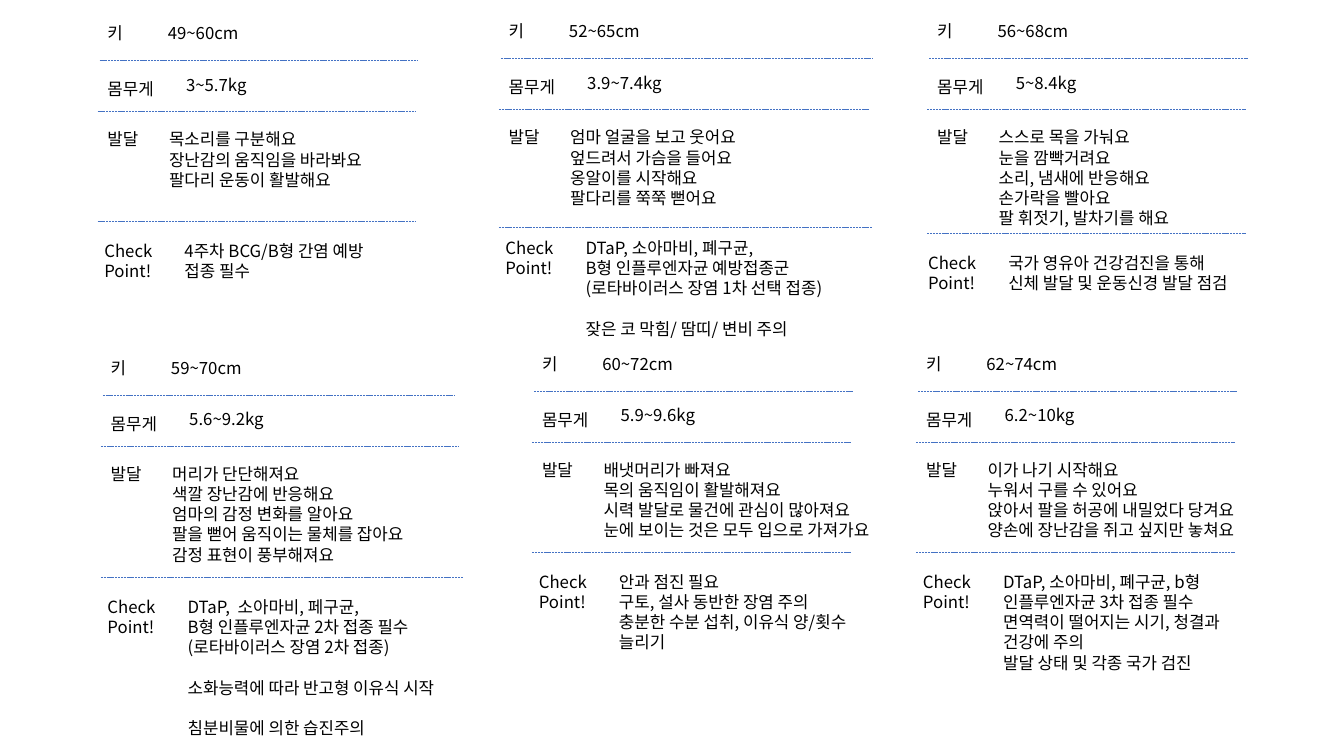
from dataclasses import dataclass
from lxml.etree import SubElement
from pptx import Presentation
from pptx.dml.color import RGBColor
from pptx.enum.dml import MSO_LINE_DASH_STYLE as Dash
from pptx.enum.shapes import MSO_CONNECTOR as Connector
from pptx.enum.text import MSO_AUTO_SIZE as AutoSize
from pptx.oxml.ns import qn
from pptx.util import Cm, Pt

COLORS = {"text": "000000", "rule": "4472C4"}
FONT = "Noto Sans CJK KR"
SIZE = 12
LINE_PITCH = 14.4
GAP = None  # marks a one-line gap before the next paragraph


@dataclass
class Card:
    x: float
    y: float
    height: str
    weight: str
    growth: list
    check: list
    rule_y: float = 5.13
    check_y: float = 5.49
    check_dx: float = -0.08
    check_w: float = 6.53
    rules: tuple = (8.03, 8.03, 8.03)


CARDS = [
    Card(2.46, 0.46, "49~60cm", "3~5.7kg",
         ["목소리를 구분해요", "장난감의 움직임을 바라봐요", "팔다리 운동이 활발해요"],
         ["4주차 BCG/B형 간염 예방", "접종 필수"]),
    Card(12.57, 0.41, "52~65cm", "3.9~7.4kg",
         ["엄마 얼굴을 보고 웃어요", "엎드려서 가슴을 들어요", "옹알이를 시작해요",
          "팔다리를 쭉쭉 뻗어요"],
         ["DTaP, 소아마비, 폐구균,", "B형 인플루엔자균 예방접종군",
          "(로타바이러스 장염 1차 선택 접종)", GAP, "잦은 코 막힘/ 땀띠/ 변비 주의"],
         rule_y=5.31, check_y=5.46, check_w=8, rules=(9.37, 9.35, 9.42)),
    Card(23.37, 0.41, "56~68cm", "5~8.4kg",
         ["스스로 목을 가눠요", "눈을 깜빡거려요", "소리, 냄새에 반응해요",
          "손가락을 빨아요", "팔 휘젓기, 발차기를 해요"],
         ["국가 영유아 건강검진을 통해", "신체 발달 및 운동신경 발달 점검"],
         rule_y=5.46, check_y=5.84, check_dx=-0.23),
    Card(2.54, 8.89, "59~70cm", "5.6~9.2kg",
         ["머리가 단단해져요", "색깔 장난감에 반응해요", "엄마의 감정 변화를 알아요",
          "팔을 뻗어 움직이는 물체를 잡아요", "감정 표현이 풍부해져요"],
         ["DTaP,  소아마비, 페구균,", "B형 인플루엔자균 2차 접종 필수",
          "(로타바이러스 장염 2차 접종)", GAP, "소화능력에 따라 반고형 이유식 시작",
          GAP, "침분비물에 의한 습진주의"],
         rule_y=5.66, check_y=6.02, check_w=7.19, rules=(8.86, 9.02, 9.14)),
    Card(13.41, 8.79, "60~72cm", "5.9~9.6kg",
         ["배냇머리가 빠져요", "목의 움직임이 활발해져요", "시력 발달로 물건에 관심이 많아져요",
          "눈에 보이는 것은 모두 입으로 가져가요"],
         ["안과 점진 필요", "구토, 설사 동반한 장염 주의",
          "충분한 수분 섭취, 이유식 양/횟수 늘리기"]),
    Card(23.09, 8.79, "62~74cm", "6.2~10kg",
         ["이가 나기 시작해요", "누워서 구를 수 있어요", "앉아서 팔을 허공에 내밀었다 당겨요",
          "양손에 장난감을 쥐고 싶지만 놓쳐요"],
         ["DTaP, 소아마비, 폐구균, b형 인플루엔자균 3차 접종 필수",
          "면역력이 떨어지는 시기, 청결과 건강에 주의", "발달 상태 및 각종 국가 검진"]),
]


class GrowthSlide:
    def __init__(self, prs):
        self.s = prs.slides.add_slide(prs.slide_layouts[6])
        self.shapes = self.s.shapes

    def rule(self, x, y, length):
        line = self.shapes.add_connector(
            Connector.STRAIGHT, Cm(x), Cm(y), Cm(x + length), Cm(y))
        line.line.color.rgb = RGBColor.from_string(COLORS["rule"])
        line.line.width = Pt(0.5)
        line.line.dash_style = Dash.SQUARE_DOT
        SubElement(line._element.spPr, qn("a:effectLst"))

    def text(self, x, y, w, lines):
        sp = self.shapes.add_textbox(
            Cm(x), Cm(y), Cm(w), Cm(0.25 + 0.51 * len(lines)))
        tf = sp.text_frame
        tf.word_wrap = True
        tf.auto_size = AutoSize.SHAPE_TO_FIT_TEXT
        p, gap = tf.paragraphs[0], False
        for i, line in enumerate(lines):
            if line is GAP:
                gap = True
                continue
            if i:
                p = tf.add_paragraph()
            p.line_spacing = Pt(LINE_PITCH)
            if gap:
                p.space_before = Pt(LINE_PITCH)
            gap = False
            r = p.add_run()
            r.text = line
            r.font.size = Pt(SIZE)
            r.font.name = FONT
            r.font.color.rgb = RGBColor.from_string(COLORS["text"])
            SubElement(r.font._element, qn("a:ea"), typeface=FONT)

    def card(self, c):
        self.shapes = self.s.shapes.add_group_shape().shapes
        # Dotted rules
        offsets = [(0.05, 1.06), (0, 2.35), (0, c.rule_y)]
        for (dx, dy), length in zip(offsets, c.rules):
            self.rule(c.x + dx, c.y + dy, length)
        # Height, weight and development
        self.text(c.x, c.y, 1.04, ["키"])
        self.text(c.x + 1.52, c.y, 4.04, [c.height])
        self.text(c.x, c.y + 1.4, 2.03, ["몸무게"])
        self.text(c.x + 1.98, c.y + 1.29, 4.04, [c.weight])
        self.text(c.x, c.y + 2.67, 1.52, ["발달"])
        self.text(c.x + 1.55, c.y + 2.67, 7.44, c.growth)
        # Check point
        x, y = c.x + c.check_dx, c.y + c.check_y
        self.text(x, y, 2.67, ["Check", "Point!"])
        self.text(x + 2.02, y, c.check_w, c.check)


def main():
    prs = Presentation()
    prs.slide_width, prs.slide_height = Cm(33.87), Cm(19.05)
    slide = GrowthSlide(prs)
    for c in CARDS:
        slide.card(c)
    prs.save("out.pptx")


if __name__ == "__main__":
    main()
